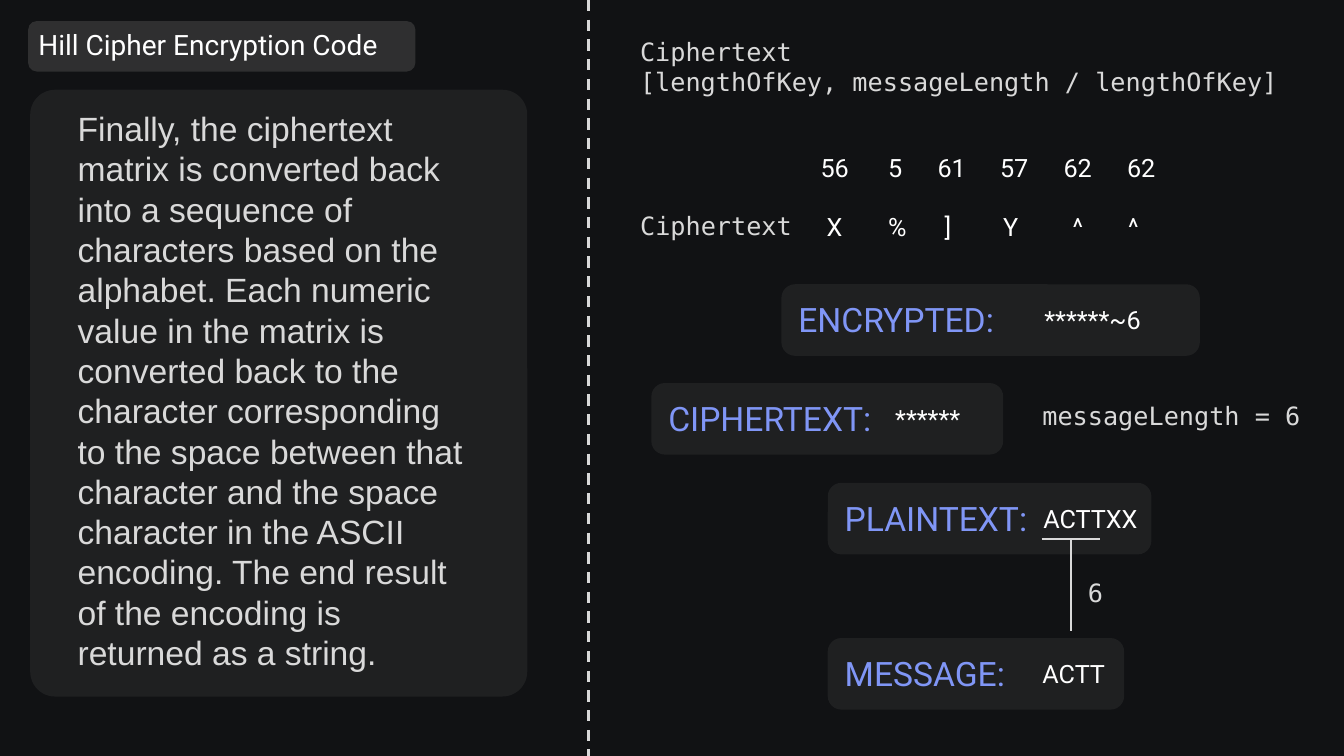
from dataclasses import dataclass

from lxml.etree import SubElement
from pptx import Presentation
from pptx.dml.color import RGBColor
from pptx.enum.dml import MSO_LINE
from pptx.enum.shapes import MSO_CONNECTOR, MSO_SHAPE
from pptx.enum.text import MSO_ANCHOR, MSO_AUTO_SIZE, PP_ALIGN
from pptx.oxml.ns import qn
from pptx.shapes.autoshape import Shape
from pptx.shapes.connector import Connector
from pptx.slide import Slide
from pptx.util import Inches, Pt

BACKGROUND, PANEL = "111214", "595959"
WHITE, GREY, BLUE = "FFFFFF", "D9D9D9", "8096F6"
SANS, MONO, BODY = "Roboto", "DejaVu Sans Mono", "Arial"
LINE_HEIGHT = 0.4


@dataclass(frozen=True)
class Style:
    font: str
    size: int
    color: str


TITLE = Style(SANS, 20, WHITE)
EXPLANATION = Style(BODY, 24, GREY)
CODE = Style(MONO, 18, GREY)
VALUE = Style(SANS, 18, WHITE)
LABEL = Style(SANS, 24, BLUE)


@dataclass(frozen=True)
class Box:
    left: float
    top: float
    width: float
    height: float = LINE_HEIGHT

    def lengths(self) -> tuple:
        return tuple(Inches(n) for n in (self.left, self.top, self.width, self.height))


@dataclass(frozen=True)
class Cell:
    text: str
    left: float
    width: float


@dataclass(frozen=True)
class Card:
    box: Box
    label: str
    label_width: float
    value: Cell


@dataclass(frozen=True)
class Rule:
    start: tuple[float, float]
    end: tuple[float, float]
    width: float = 1.25
    dashed: bool = False


CODE_NOTES = [
    ("Ciphertext\n[lengthOfKey, messageLength / lengthOfKey]", Box(6.25, 0.31, 6.8, 0.71)),
    ("Ciphertext", Box(6.25, 2.04, 1.79)),
    ("messageLength = 6", Box(10.24, 3.92, 2.84)),
    ("6", Box(10.69, 5.68, 0.45)),
]
CIPHER_ROWS = {
    1.46: [
        Cell("56", 8.04, 0.53), Cell("5", 8.71, 0.36), Cell("61", 9.2, 0.49),
        Cell("57", 9.82, 0.5), Cell("62", 10.45, 0.5), Cell("62", 11.08, 0.5),
    ],
    2.05: [
        Cell("X", 8.1, 0.43), Cell("%", 8.71, 0.43), Cell("]", 9.27, 0.34),
        Cell("Y", 9.85, 0.33), Cell("^", 10.54, 0.33), Cell("^", 11.09, 0.33),
    ],
}
CARDS = [
    Card(Box(7.75, 2.82, 4.15, 0.71), "ENCRYPTED:", 2.29, Cell("******~6", 10.26, 1.32)),
    Card(Box(6.46, 3.8, 3.49, 0.71), "CIPHERTEXT:", 2.29, Cell("******", 8.78, 0.98)),
    Card(Box(8.21, 4.79, 3.21, 0.71), "PLAINTEXT:", 2.04, Cell("ACTTXX", 10.25, 1.14)),
    Card(Box(8.21, 6.33, 2.94, 0.71), "MESSAGE:", 2.04, Cell("ACTT", 10.24, 0.91)),
]
RULES = [
    Rule((5.84, 0), (5.84, 7.5), 2, True),
    Rule((10.33, 5.35), (10.91, 5.35)),
    Rule((10.62, 5.35), (10.62, 6.26)),
]
EXPLANATION_TEXT = (
    "Finally, the ciphertext matrix is converted back into a sequence of characters "
    "based on the alphabet. Each numeric value in the matrix is converted back to the "
    "character corresponding to the space between that character and the space character "
    "in the ASCII encoding. The end result of the encoding is returned as a string."
)


def rgb(color: str) -> RGBColor:
    return RGBColor.from_string(color)


def write(shape: Shape, text: str, style: Style) -> None:
    frame = shape.text_frame
    frame.text = text
    frame.word_wrap = True
    frame.auto_size = MSO_AUTO_SIZE.NONE
    frame.vertical_anchor = MSO_ANCHOR.TOP
    for paragraph in frame.paragraphs:
        properties = paragraph._p.get_or_add_pPr()
        properties.set("marL", "0")
        properties.set("indent", "0")
        SubElement(properties, qn("a:buNone"))
        paragraph.alignment = PP_ALIGN.LEFT
        paragraph.space_before = Pt(0)
        paragraph.font.name = style.font
        paragraph.font.size = Pt(style.size)
        paragraph.font.color.rgb = rgb(style.color)


def add_text(slide: Slide, text: str, box: Box, style: Style) -> Shape:
    shape = slide.shapes.add_textbox(*box.lengths())
    write(shape, text, style)
    return shape


def fill_placeholder(slide: Slide, shape: Shape, text: str, box: Box, style: Style) -> None:
    shape.left, shape.top, shape.width, shape.height = box.lengths()
    write(shape, text, style)
    slide.shapes._spTree.append(shape._element)


def add_panel(slide: Slide, box: Box, opacity: int, rounding: float) -> Shape:
    shape = slide.shapes.add_shape(MSO_SHAPE.ROUNDED_RECTANGLE, *box.lengths())
    shape.adjustments[0] = rounding
    shape.shadow.inherit = False
    shape.line.fill.background()
    shape.fill.solid()
    shape.fill.fore_color.rgb = rgb(PANEL)
    color = shape._element.spPr.find(qn("a:solidFill"))[0]
    SubElement(color, qn("a:alpha")).set("val", str(opacity * 1000))
    return shape


def add_card(slide: Slide, card: Card) -> None:
    box, value = card.box, card.value
    add_panel(slide, box, 20, 0.19)
    add_text(slide, card.label, Box(box.left + 0.07, box.top + 0.1, card.label_width, 0.5), LABEL)
    add_text(slide, value.text, Box(value.left, box.top + 0.15, value.width), VALUE)


def add_rule(slide: Slide, rule: Rule) -> Connector:
    ends = [Inches(n) for n in rule.start + rule.end]
    connector = slide.shapes.add_connector(MSO_CONNECTOR.STRAIGHT, *ends)
    connector.line.color.rgb = rgb(GREY)
    connector.line.width = Pt(rule.width)
    if rule.dashed:
        connector.line.dash_style = MSO_LINE.DASH
    SubElement(connector._element.spPr, qn("a:effectLst"))
    return connector


def main() -> None:
    """Build the Hill cipher encryption slide and save it."""
    presentation = Presentation()
    presentation.slide_width, presentation.slide_height = Inches(13.33), Inches(7.5)
    slide = presentation.slides.add_slide(presentation.slide_layouts[1])
    slide.background.fill.solid()
    slide.background.fill.fore_color.rgb = rgb(BACKGROUND)

    add_panel(slide, Box(0.28, 0.21, 3.84, 0.5), 42, 0.17)
    fill_placeholder(slide, slide.shapes.title, "Hill Cipher Encryption Code",
                     Box(0.28, 0.22, 3.84, 0.44), TITLE)
    add_panel(slide, Box(0.3, 0.89, 4.93, 6.02), 20, 0.05)
    fill_placeholder(slide, slide.placeholders[1], EXPLANATION_TEXT,
                     Box(0.67, 1.02, 4.12, 5.76), EXPLANATION)

    for text, box in CODE_NOTES:
        add_text(slide, text, box, CODE)
    for top, cells in CIPHER_ROWS.items():
        for cell in cells:
            add_text(slide, cell.text, Box(cell.left, top, cell.width), VALUE)
    for card in CARDS:
        add_card(slide, card)
    for rule in RULES:
        add_rule(slide, rule)
    presentation.save("out.pptx")


if __name__ == "__main__":
    main()
